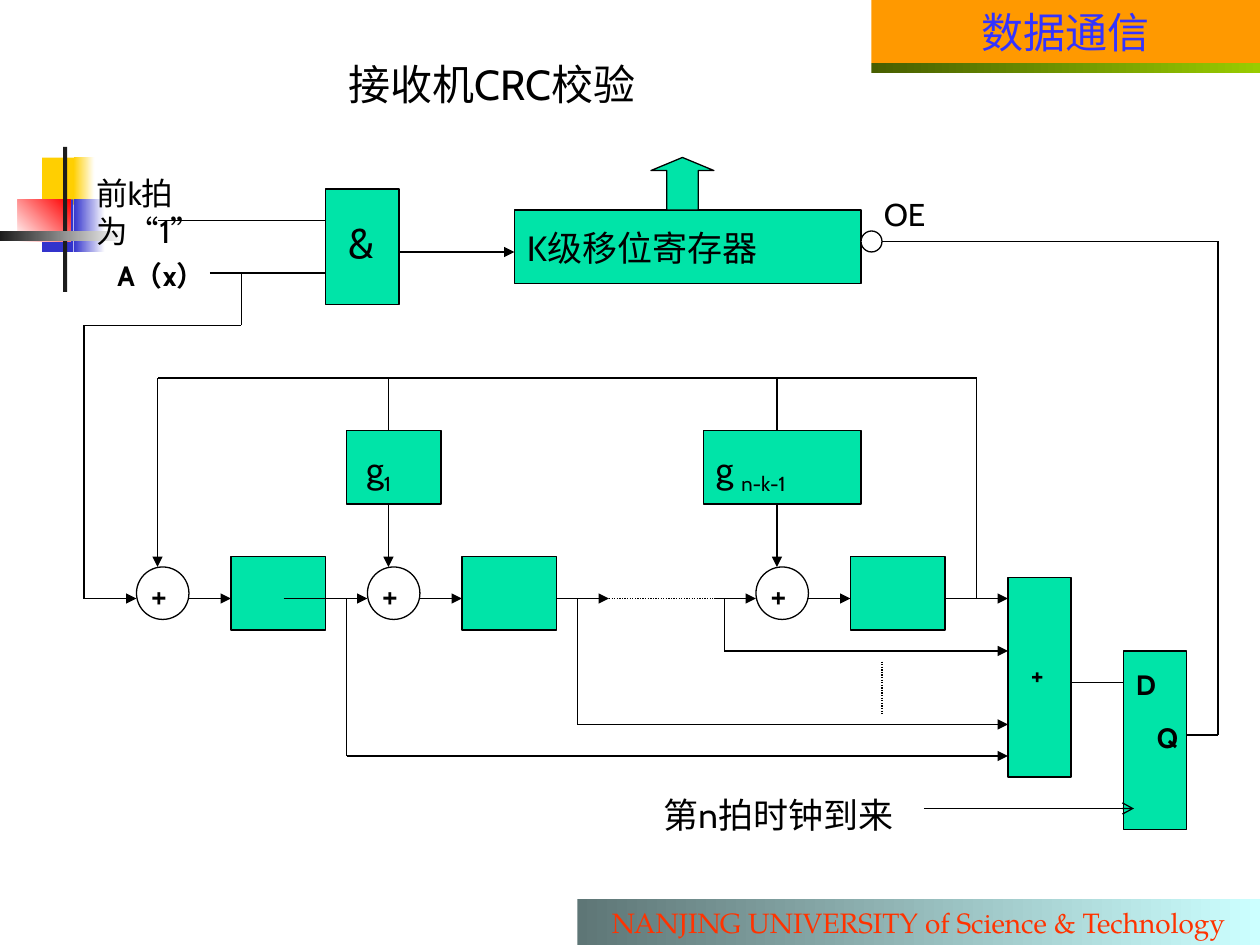
import dataclasses
import typing

import pptx
import pptx.dml.color
import pptx.enum.dml
import pptx.enum.lang
import pptx.enum.shapes
import pptx.enum.text
import pptx.oxml
import pptx.oxml.ns
import pptx.util
from lxml import etree

SHAPES = pptx.enum.shapes.MSO_SHAPE
ALIGN = pptx.enum.text.PP_ALIGN
ANCHOR = pptx.enum.text.MSO_ANCHOR


@dataclasses.dataclass(frozen=True)
class Theme:
    font: str = "Cabin"
    footer_font: str = "TeX Gyre Pagella"
    ink: str = "000000"
    paper: str = "FFFFFF"
    block: str = "00E4A8"
    header: str = "FF9900"
    header_text: str = "3333FF"
    footer_text: str = "FF3300"
    footer: tuple = ("5E7676", "CCFFFF")
    strip: tuple = ("475E00", "99CC00")
    yellow: str = "FFCF01"
    blue: str = "3333CC"
    red: str = "FF0000"
    dark: str = "1C1C1C"
    title_size: int = 24
    label_size: int = 20
    note_size: int = 18
    pin_size: int = 16
    line_width: float = 0.75


THEME = Theme()


@dataclasses.dataclass(frozen=True)
class Box:
    slide: typing.Any
    left: float
    top: float
    width: float
    height: float

    def point(self, x, y):
        return grid(self.left + x), grid(self.top + y)


def grid(units):
    return pptx.util.Cm(units * 2.54 / 12)


def rgb(value):
    return pptx.dml.color.RGBColor.from_string(value)


def write(frame, content, size=THEME.label_size, color=THEME.ink, font=THEME.font,
          bold=False, align=ALIGN.LEFT, anchor=ANCHOR.TOP, subscript="", indent=0):
    frame.word_wrap = True
    frame.auto_size = pptx.enum.text.MSO_AUTO_SIZE.NONE
    frame.vertical_anchor = anchor
    frame.margin_left = pptx.util.Cm(0.25 + indent)
    frame.margin_right = pptx.util.Cm(0.25)
    frame.margin_top = frame.margin_bottom = pptx.util.Cm(0.13)
    paragraph = frame.paragraphs[0]
    paragraph.alignment = align
    for part, lowered in ((content, False), (subscript, True)):
        if not part:
            continue
        run = paragraph.add_run()
        run.text = part
        run.font.size = pptx.util.Pt(size)
        run.font.name = font
        run.font.bold = bold
        run.font.color.rgb = rgb(color)
        run.font.language_id = pptx.enum.lang.MSO_LANGUAGE_ID.SIMPLIFIED_CHINESE
        if lowered:
            run._r.get_or_add_rPr().set("baseline", "-25000")


def label(box, area, content, **style):
    x, y, width, height = area
    caption = box.slide.shapes.add_textbox(*box.point(x, y), grid(width), grid(height))
    write(caption.text_frame, content, **style)


def block(box, area, fill=THEME.block, kind=SHAPES.RECTANGLE, outlined=True, angle=0):
    x, y, width, height = area
    part = box.slide.shapes.add_shape(kind, *box.point(x, y), grid(width), grid(height))
    part.shadow.inherit = False
    if isinstance(fill, tuple):
        part.fill.gradient()
        part.fill.gradient_angle = angle
        for stop, color in zip(part.fill.gradient_stops, fill):
            stop.color.rgb = rgb(color)
    else:
        part.fill.solid()
        part.fill.fore_color.rgb = rgb(fill)
    if outlined:
        part.line.color.rgb = rgb(THEME.ink)
        part.line.width = pptx.util.Pt(THEME.line_width)
    else:
        part.line.fill.background()
    return part


def wire(box, *points, arrow=None, dotted=False):
    for start, end in zip(points, points[1:]):
        segment = box.slide.shapes.add_connector(
            pptx.enum.shapes.MSO_CONNECTOR.STRAIGHT, *box.point(*start), *box.point(*end))
        segment.line.color.rgb = rgb(THEME.ink)
        segment.line.width = pptx.util.Pt(THEME.line_width)
        if dotted:
            segment.line.dash_style = pptx.enum.dml.MSO_LINE.ROUND_DOT
        properties = segment._element.spPr
        if arrow and end == points[-1]:
            outline = properties.find(pptx.oxml.ns.qn("a:ln"))
            etree.SubElement(outline, pptx.oxml.ns.qn("a:tailEnd"), type=arrow)
        etree.SubElement(properties, pptx.oxml.ns.qn("a:effectLst"))


def draw_ornament(box):
    for area, fill, angle in (
        ((4, 1, 3.5, 4.5), THEME.yellow, 0),
        ((7, 1, 2, 5), (THEME.yellow, THEME.paper), 0),
        ((4, 5, 3, 5), THEME.blue, 0),
        ((7, 5, 3, 5), (THEME.blue, THEME.paper), 0),
        ((1.7, 5, 5, 4), (THEME.paper, THEME.red), 45),
        ((6, 0, 0.4, box.height), THEME.dark, 0),
        ((0, 8, box.width, 1), (THEME.dark, THEME.paper), 0),
    ):
        block(box, area, fill, outlined=False, angle=angle)


def draw_header(box):
    banner = block(box, (0, 0, box.width, box.height - 1), THEME.header, outlined=False)
    write(banner.text_frame, "数据通信", size=THEME.title_size, color=THEME.header_text,
          align=ALIGN.CENTER, anchor=ANCHOR.MIDDLE)
    block(box, (0, box.height - 1, box.width, 1), THEME.strip, outlined=False)


def draw_footer(box):
    banner = block(box, (0, 0, box.width, box.height), THEME.footer, outlined=False)
    write(banner.text_frame, "NANJING UNIVERSITY of Science & Technology",
          size=THEME.pin_size, color=THEME.footer_text, font=THEME.footer_font,
          align=ALIGN.CENTER, anchor=ANCHOR.MIDDLE)


def place_title(box):
    title = box.slide.shapes.title
    title.left, title.top = box.point(0, 0)
    title.width, title.height = grid(box.width), grid(box.height)
    write(title.text_frame, "接收机CRC校验", size=THEME.title_size)


def draw_feedback_register(box):
    shift = 21
    for cell in (14, 36, 73):
        block(box, (cell, 17, 9, 7))
    for adder in (5, 27, 64):
        block(box, (adder, 18, 5, 5), THEME.paper, SHAPES.OVAL)
        label(box, (adder + 0.2, 18, 5, 5.3), "+")
    for area, tap, content, subscript, indent in (
        ((25, 5, 9, 7), 29, "g", "1", 0.15),
        ((59, 5, 15, 7), 66, "g ", "n-k-1", 0),
    ):
        x, y, width, height = area
        block(box, area)
        label(box, (x, y + 1, width, 5.8), content, subscript=subscript, indent=indent)
        wire(box, (tap, 0), (tap, y))
        wire(box, (tap, y + height), (tap, 18), arrow="triangle")
    for start, end in ((10, 14), (19, 23), (23, 27), (32, 36), (45, 50),
                       (60, 64), (69, 73), (82, 88)):
        joined = start == 19
        wire(box, (start, shift), (27 if joined else end, shift),
             arrow="triangle") if start != 23 else None
    wire(box, (50, shift), (60, shift), dotted=True)
    wire(box, (85, shift), (85, 0), (7, 0), (7, 18), arrow="triangle")


def draw_error_check(box):
    block(box, (67, 0, 6, 19))
    block(box, (78, 7, 6, 17))
    for tap, level in ((40, 7), (26, 14), (4, 17)):
        wire(box, (tap, 2), (tap, level), (67, level), arrow="triangle")
    wire(box, (55, 8), (55, 13), dotted=True)
    wire(box, (73, 10), (78, 10))
    wire(box, (59, 22), (79, 22), arrow="arrow")
    for area, content in (((68, 7, 4, 4.4), "+"), ((78, 8, 4, 4.4), "D"),
                          ((80, 13, 5, 4.4), "Q")):
        label(box, area, content, size=THEME.pin_size, bold=True)
    label(box, (33, 20, 27, 5.3), "第n拍时钟到来")


def draw_receive_path(box):
    block(box, (23, 3, 7, 11))
    block(box, (41, 5, 33, 7))
    block(box, (54, 0, 6, 5), kind=SHAPES.UP_ARROW).adjustments[1] = 0.25
    block(box, (74, 7, 2, 2), THEME.paper, SHAPES.OVAL)
    wire(box, (30, 9), (41, 9), arrow="triangle")
    wire(box, (7, 6), (23, 6))
    wire(box, (12, 11), (23, 11))
    wire(box, (15, 11), (15, 16), (0, 16), (0, 42), (5, 42), arrow="triangle")
    wire(box, (105, 55), (108, 55), (108, 8), (76, 8))
    label(box, (24, 5, 5, 6), "&", size=THEME.title_size)
    label(box, (41, 6, 33, 5.3), "K级移位寄存器")
    label(box, (2, 9, 11, 7.7), "A（x）", size=THEME.pin_size, bold=True)
    label(box, (0, 1, 18, 8.4), "前k拍为“1”", size=THEME.note_size)
    label(box, (75, 3, 7, 4.8), "OE", size=THEME.note_size)


def main():
    deck = pptx.Presentation()
    deck.slide_width, deck.slide_height = grid(120), grid(90)
    slide = deck.slides.add_slide(deck.slide_layouts[5])
    draw_ornament(Box(slide, 0, 14, 12, 13.8))
    draw_header(Box(slide, 83, 0, 37, 7))
    draw_footer(Box(slide, 55, 85.6, 65, 4.4))
    place_title(Box(slide, 32, 5, 44, 6))
    draw_feedback_register(Box(slide, 8, 36, 88, 24))
    draw_error_check(Box(slide, 29, 55, 84, 26))
    draw_receive_path(Box(slide, 8, 15, 108, 55))
    deck.save("out.pptx")


if __name__ == "__main__":
    main()
